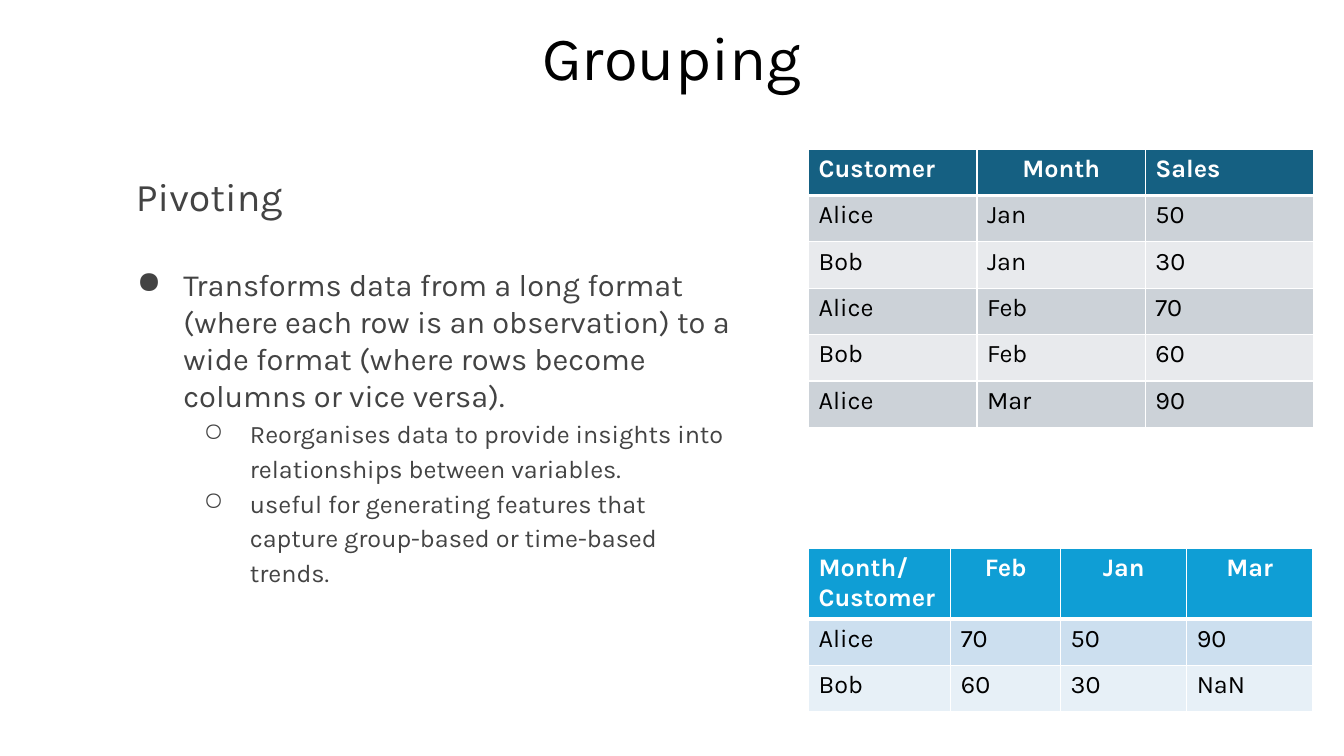
import pptx
import pptx.dml.color
import pptx.enum.text
import pptx.oxml
import pptx.oxml.ns
import pptx.util

Inches, Pt = pptx.util.Inches, pptx.util.Pt
RGBColor = pptx.dml.color.RGBColor
ALIGN = pptx.enum.text.PP_ALIGN
ANCHOR = pptx.enum.text.MSO_ANCHOR

BLACK = RGBColor(0x00, 0x00, 0x00)
WHITE = RGBColor(0xFF, 0xFF, 0xFF)
GREY = RGBColor(0x43, 0x43, 0x43)
FONT = "Karla"

# Content
TITLE = "Grouping"
# Text, bullet, level, left margin, hanging indent, format of the font, format of the paragraph
EXPLANATION = [
    ("Pivoting", None, 0, 0.2, 0, {"size": Pt(28)}, {}),
    ("Transforms data from a long format (where each row is an observation) "
     "to a wide format (where rows become columns or vice versa).",
     "●", 0, 0.67, 0.46, {"size": Pt(22)}, {"space_before": Pt(33.3)}),
    ("Reorganises data to provide insights into relationships between variables.",
     "○", 1, 1.33, 0.46, {"size": Pt(18)}, {"line_spacing": 1.15}),
    ("useful for generating features that capture group-based or time-based trends.",
     "○", 1, 1.33, 0.46, {"size": Pt(18)}, {"line_spacing": 1.15}),
]
LONG_FORMAT = {
    "top": 1.48,
    "widths": [1.67, 1.67, 1.67],
    "header_height": 0.46,
    "centred": {1},
    "fills": (RGBColor(0x15, 0x60, 0x82), RGBColor(0xCC, 0xD2, 0xD8), RGBColor(0xE8, 0xEA, 0xED)),
    "rows": [
        ("Customer", "Month", "Sales"),
        ("Alice", "Jan", "50"),
        ("Bob", "Jan", "30"),
        ("Alice", "Feb", "70"),
        ("Bob", "Feb", "60"),
        ("Alice", "Mar", "90"),
    ],
}
WIDE_FORMAT = {
    "top": 5.44,
    "widths": [1.41, 1.09, 1.25, 1.25],
    "header_height": 0.68,
    "centred": {1, 2, 3},
    "fills": (RGBColor(0x0F, 0x9E, 0xD5), RGBColor(0xCC, 0xDF, 0xEF), RGBColor(0xE7, 0xF0, 0xF7)),
    "rows": [
        ("Month/\nCustomer", "Feb", "Jan", "Mar"),
        ("Alice", "70", "50", "90"),
        ("Bob", "60", "30", "NaN"),
    ],
}
TABLE_LEFT, ROW_HEIGHT = 8.02, 0.46


def apply_format(target, values):
    for attribute, value in values.items():
        setattr(target, attribute, value)


def format_font(font, color, values):
    apply_format(font, {"name": FONT, **values})
    font.color.rgb = color


def add_xml(parent, markup):
    parent.append(pptx.oxml.parse_xml(
        markup.replace(" ", f" {pptx.oxml.ns.nsdecls('a')} ", 1)))


def add_frame(slide, left, top, width, height, anchor):
    box = slide.shapes.add_textbox(Inches(left), Inches(top), Inches(width), Inches(height))
    margins = dict.fromkeys(
        ("margin_left", "margin_top", "margin_right", "margin_bottom"), Inches(0.1))
    apply_format(box.text_frame, {"word_wrap": True, "vertical_anchor": anchor, **margins})
    return box.text_frame


def add_explanation(slide):
    frame = add_frame(slide, 1.05, 1.61, 6.38, 4.52, ANCHOR.TOP)
    for i, (text, bullet, level, margin, hanging, font, spacing) in enumerate(EXPLANATION):
        paragraph = frame.add_paragraph() if i else frame.paragraphs[0]
        properties = paragraph._p.get_or_add_pPr()
        properties.set("marL", str(Inches(margin)))
        properties.set("indent", str(-Inches(hanging)))
        if bullet:
            add_xml(properties, f'<a:buClr ><a:srgbClr val="{GREY}"/></a:buClr>')
            add_xml(properties, f'<a:buChar char="{bullet}"/>')
        apply_format(paragraph, {"level": level, **spacing})
        run = paragraph.add_run()
        run.text = text
        format_font(run.font, GREY, font)


def add_sales_table(slide, sales):
    rows, widths = sales["rows"], sales["widths"]
    heights = [sales["header_height"]] + [ROW_HEIGHT] * (len(rows) - 1)
    table = slide.shapes.add_table(
        len(rows), len(widths), Inches(TABLE_LEFT), Inches(sales["top"]),
        Inches(sum(widths)), Inches(sum(heights))).table
    for column, width in zip(table.columns, widths):
        column.width = Inches(width)
    header_fill, *bands = sales["fills"]
    for r, row in enumerate(rows):
        table.rows[r].height = Inches(heights[r])
        header = r == 0
        borders = {"L": 1, "R": 1, "T": 1, "B": 3} if header else {"L": 1, "R": 1, "B": 1}
        for c, text in enumerate(row):
            cell = table.cell(r, c)
            for side, points in borders.items():
                add_xml(cell._tc.get_or_add_tcPr(),
                        f'<a:ln{side} w="{Pt(points)}"><a:solidFill>'
                        f'<a:srgbClr val="{WHITE}"/></a:solidFill></a:ln{side}>')
            cell.fill.solid()
            cell.fill.fore_color.rgb = header_fill if header else bands[(r - 1) % 2]
            cell.text = text
            for paragraph in cell.text_frame.paragraphs:
                if header and c in sales["centred"]:
                    paragraph.alignment = ALIGN.CENTER
                format_font(paragraph.runs[0].font, WHITE if header else BLACK,
                            {"size": Pt(18), "bold": header})


def main():
    deck = pptx.Presentation()
    apply_format(deck, {"slide_width": Inches(13.33), "slide_height": Inches(7.5)})
    slide = deck.slides.add_slide(deck.slide_layouts[6])

    # Explanation on the left
    add_explanation(slide)

    # Title
    heading = add_frame(slide, 1.05, 0.18, 11.23, 0.84, ANCHOR.MIDDLE).paragraphs[0]
    apply_format(heading, {"alignment": ALIGN.CENTER, "line_spacing": 0.9})
    title = heading.add_run()
    title.text = TITLE
    format_font(title.font, BLACK, {"size": Pt(44)})

    # Sales before and after pivoting
    for sales in (LONG_FORMAT, WIDE_FORMAT):
        add_sales_table(slide, sales)

    deck.save("out.pptx")


if __name__ == "__main__":
    main()
